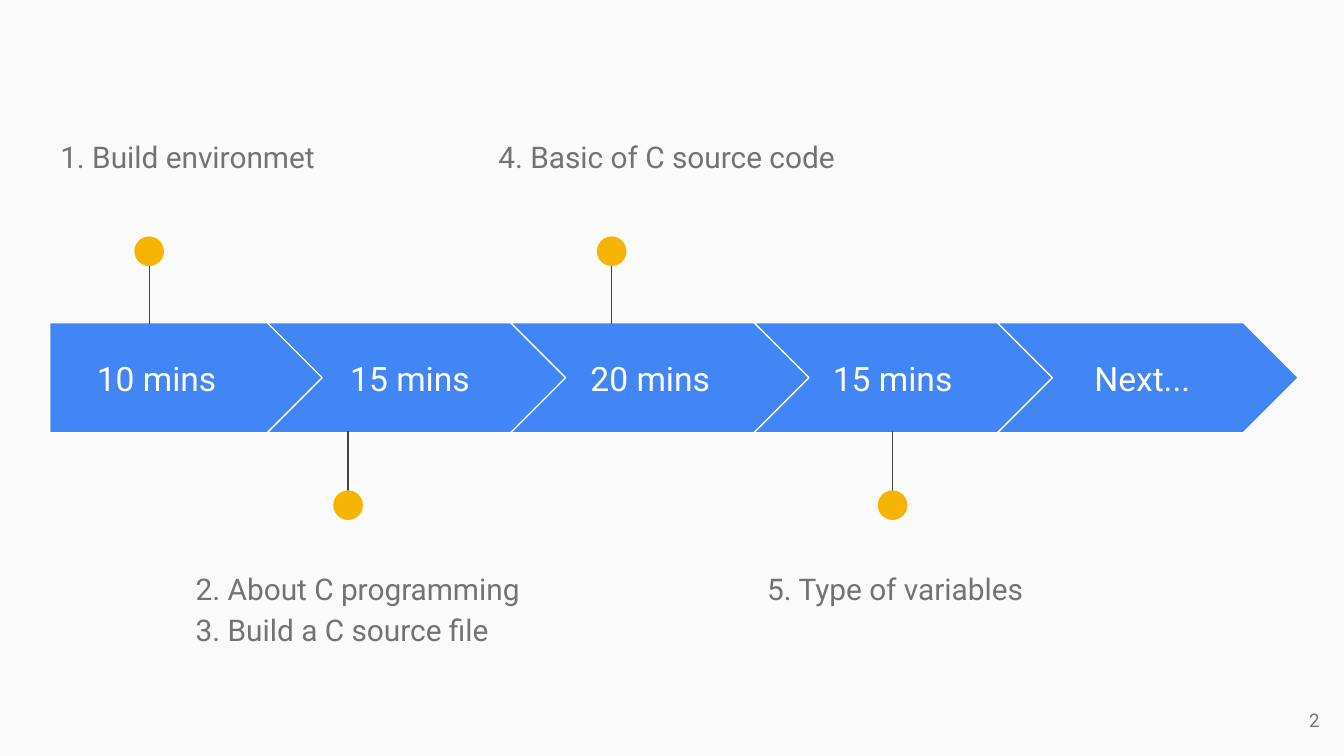
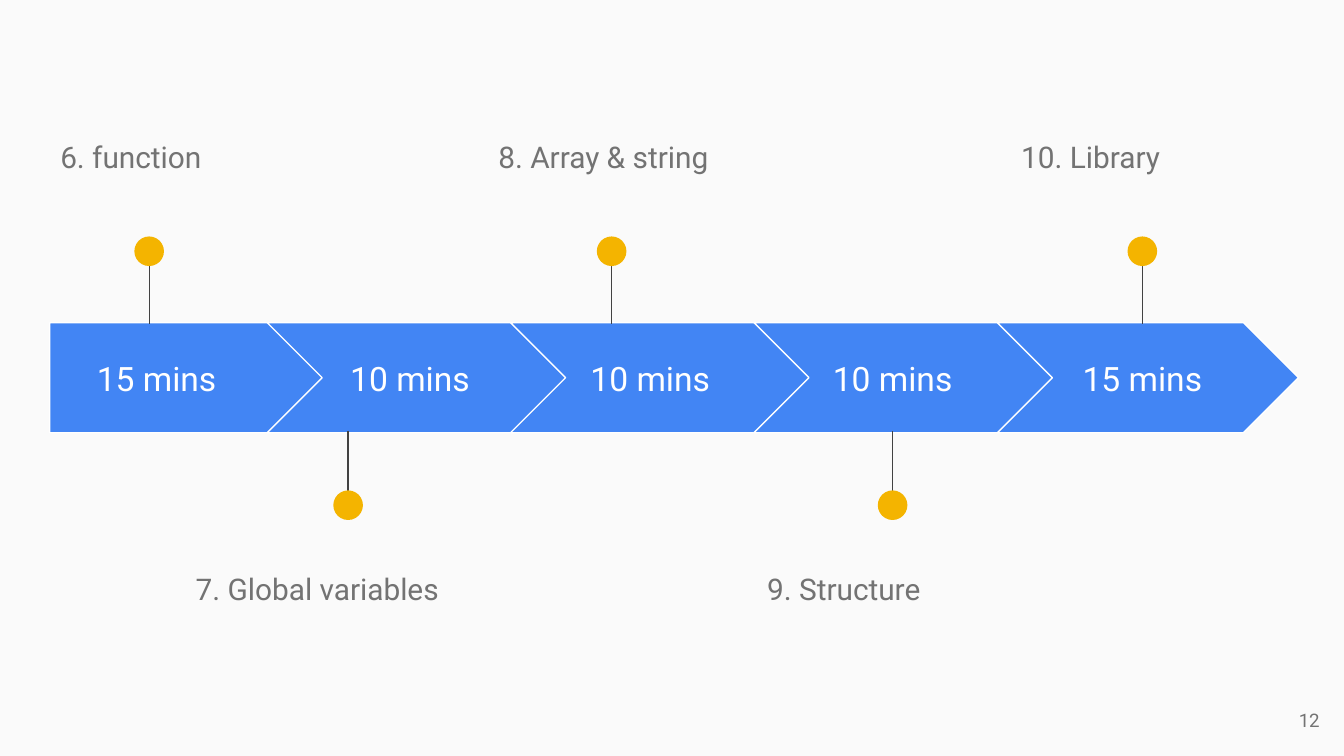
"""Build two timeline slides for a C programming course."""
import pptx
import pptx.dml.color
import pptx.enum.shapes
import pptx.enum.text
import pptx.oxml.ns
import pptx.util
import lxml.etree

Cm = pptx.util.Cm
Pt = pptx.util.Pt
SHAPE = pptx.enum.shapes.MSO_SHAPE
ALIGN = pptx.enum.text.PP_ALIGN
ANCHOR = pptx.enum.text.MSO_ANCHOR
COLORS = {
    name: pptx.dml.color.RGBColor.from_string(value)
    for name, value in {
        "background": "FAFAFA",
        "band": "4285F4",
        "white": "FFFFFF",
        "pin": "F4B400",
        "stem": "424242",
        "text": "737373",
    }.items()
}
FONT = "Roboto"

BAND_TOP, BAND_HEIGHT = 6.1, 2.08
FIRST_LEFT, FIRST_WIDTH = 0.94, 5.21
CHEVRON_LEFT, CHEVRON_WIDTH, CHEVRON_PITCH = 5.05, 5.69, 4.6
DURATION_BOXES = [(0.94, 4.04), (5.92, 3.66), (10.46, 3.66), (15.04, 3.66), (19.76, 3.66)]
PIN_CENTERS = [2.82, 6.58, 11.56, 16.87, 21.59]
PIN_SIZE = 0.56
CAPTION_BOXES = [(0.89, 6.22), (3.45, 7.7), (9.17, 7.01), (14.25, 6.22), (19.05, 6.22)]
CAPTION_HEIGHT = 2.51
ABOVE = {"caption": 1.04, "anchor": ANCHOR.BOTTOM, "pin": 4.47, "stem": (4.57, 6.12)}
BELOW = {"caption": 10.44, "anchor": ANCHOR.TOP, "pin": 9.27, "stem": (9.7, 8.15)}

TIMELINES = [
    (
        "2",
        [
            ("10 mins", ["1. Build environmet"]),
            ("15 mins", ["2. About C programming", "3. Build a C source file"]),
            ("20 mins", ["4. Basic of C source code"]),
            ("15 mins", ["5. Type of variables"]),
            ("Next...", []),
        ],
    ),
    (
        "12",
        [
            ("15 mins", ["6. function"]),
            ("10 mins", ["7. Global variables"]),
            ("10 mins", ["8. Array & string"]),
            ("10 mins", ["9. Structure"]),
            ("15 mins", ["10. Library"]),
        ],
    ),
]


def add_text(slide, box, lines, size, color, align, anchor):
    """Add a text box with line breaks between lines and return its paragraph."""
    frame = slide.shapes.add_textbox(*map(Cm, box)).text_frame
    frame.word_wrap = True
    frame.vertical_anchor = anchor
    frame.margin_left = frame.margin_right = Cm(0.25)
    frame.margin_top = frame.margin_bottom = Cm(0.25)
    paragraph = frame.paragraphs[0]
    paragraph.alignment = align
    for index, line in enumerate(lines):
        if index:
            paragraph.add_line_break()
        run = paragraph.add_run()
        run.text = line
        run.font.name = FONT
        run.font.size = Pt(size)
        run.font.color.rgb = COLORS[color]
    return paragraph


def add_pin(slide, center, side):
    """Add a grouped stem and dot at the given centre."""
    group = slide.shapes.add_group_shape()
    start, end = side["stem"]
    stem = group.shapes.add_connector(
        pptx.enum.shapes.MSO_CONNECTOR.STRAIGHT, Cm(center), Cm(start), Cm(center), Cm(end)
    )
    stem.line.color.rgb = COLORS["stem"]
    stem.line.width = Pt(0.75)
    properties = stem.element.find(pptx.oxml.ns.qn("p:spPr"))
    lxml.etree.SubElement(properties, pptx.oxml.ns.qn("a:effectLst"))
    dot = group.shapes.add_shape(
        SHAPE.OVAL, Cm(center - PIN_SIZE / 2), Cm(side["pin"]), Cm(PIN_SIZE), Cm(PIN_SIZE)
    )
    dot.shadow.inherit = False
    dot.fill.solid()
    dot.fill.fore_color.rgb = COLORS["pin"]
    dot.line.fill.background()


presentation = pptx.Presentation()
presentation.slide_width = Cm(25.4)
presentation.slide_height = Cm(14.29)

for page_number, steps in TIMELINES:
    slide = presentation.slides.add_slide(presentation.slide_layouts[6])
    slide.background.fill.solid()
    slide.background.fill.fore_color.rgb = COLORS["background"]

    for index, (duration, topics) in enumerate(steps):
        if index == 0:
            kind, left, width = SHAPE.PENTAGON, FIRST_LEFT, FIRST_WIDTH
        else:
            kind, width = SHAPE.CHEVRON, CHEVRON_WIDTH
            left = CHEVRON_LEFT + (index - 1) * CHEVRON_PITCH
        arrow = slide.shapes.add_shape(kind, Cm(left), Cm(BAND_TOP), Cm(width), Cm(BAND_HEIGHT))
        arrow.shadow.inherit = False
        arrow.fill.solid()
        arrow.fill.fore_color.rgb = COLORS["band"]
        arrow.line.color.rgb = COLORS["white"]
        arrow.line.width = Pt(0.75)

        left, width = DURATION_BOXES[index]
        add_text(slide, (left, 6.5, width, 1.3), [duration], 18, "white", ALIGN.CENTER, ANCHOR.MIDDLE)

        if topics:
            side = BELOW if index % 2 else ABOVE
            add_pin(slide, PIN_CENTERS[index], side)
            left, width = CAPTION_BOXES[index]
            box = (left, side["caption"], width, CAPTION_HEIGHT)
            caption = add_text(slide, box, topics, 16, "text", ALIGN.LEFT, side["anchor"])
            caption.line_spacing = 1.15
            caption.space_after = Pt(16)

    add_text(slide, (23.67, 13.06, 1.52, 1.09), [page_number], 10, "text", ALIGN.RIGHT, ANCHOR.MIDDLE)

presentation.save("out.pptx")
